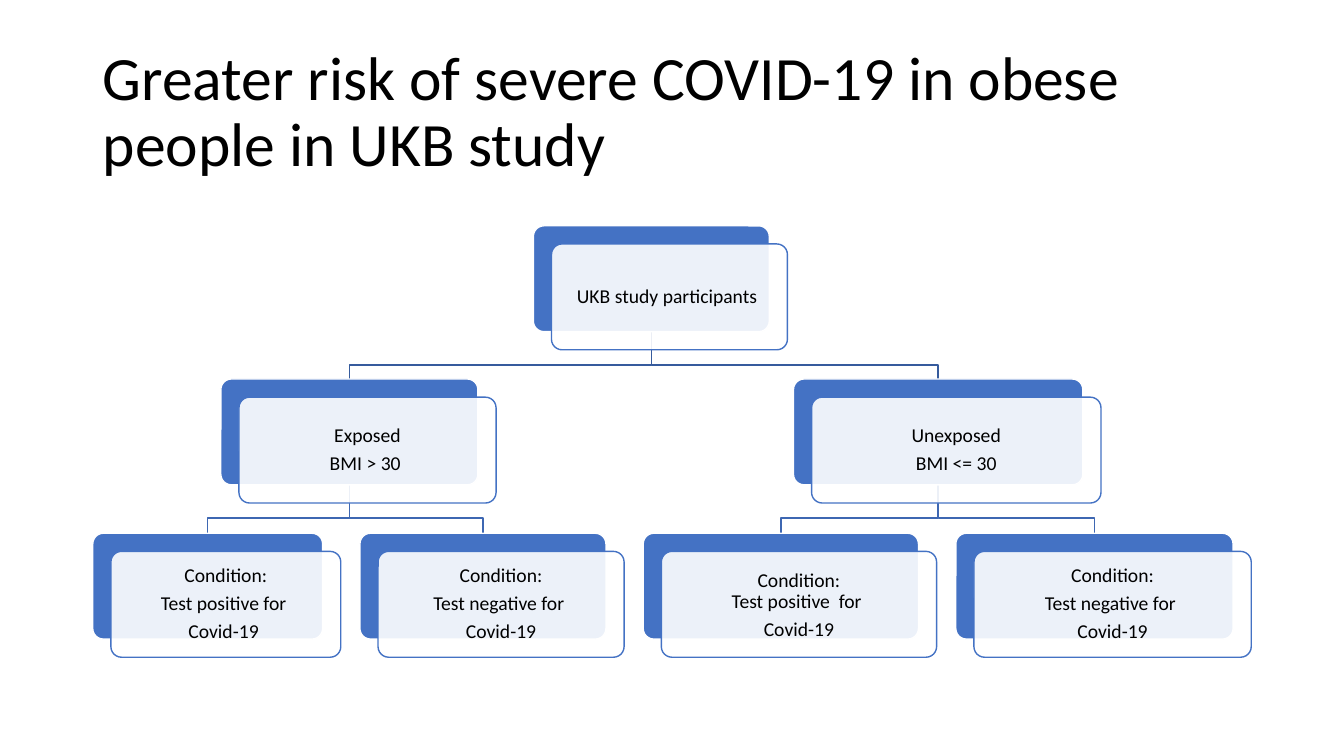
from dataclasses import dataclass

from lxml import etree
from pptx import Presentation
from pptx.dml.color import RGBColor
from pptx.enum import shapes, text
from pptx.oxml import ns
from pptx.util import Inches, Pt

LEVEL_TOPS = [2.24, 3.76, 5.29]
CARD_HEIGHT = 1.05
CARD_OFFSET = 0.18
ELBOW_DROP = 0.33


@dataclass
class Group:
    level: int
    left: float
    width: float
    lines: list
    tight_first_line: bool = False
    children: tuple = ()

    @property
    def top(self):
        return LEVEL_TOPS[self.level]

    @property
    def center(self):
        return self.left + self.width / 2


def color(value):
    return RGBColor.from_string(value)


class StudyPage:
    """Holds the style and the current slide."""

    font = "Calibri"
    ink = "000000"
    white = "FFFFFF"
    blue = "4472C4"
    line_colors = ["365B9D", "3E67B2"]

    def __init__(self, deck):
        self.page = deck.slides.add_slide(deck.slide_layouts[5])

    def format_para(self, para, size, align, spacing=0.9, after=0):
        para.alignment = align
        para.line_spacing = spacing
        para.space_after = Pt(after)
        for span in para.runs:
            span.font.name = self.font
            span.font.size = Pt(size)
            span.font.color.rgb = color(self.ink)

    def title(self, words):
        box = self.page.shapes.title
        box.left, box.top = Inches(0.92), Inches(0.4)
        box.width, box.height = Inches(11.5), Inches(1.45)
        frame = box.text_frame
        frame.text = words
        frame.auto_size = text.MSO_AUTO_SIZE.NONE
        frame.vertical_anchor = text.MSO_ANCHOR.MIDDLE
        self.format_para(frame.paragraphs[0], 44, text.PP_ALIGN.LEFT)

    def card(self, left, top, width, fill, line, opacity=100):
        box = self.page.shapes.add_shape(
            shapes.MSO_SHAPE.ROUNDED_RECTANGLE,
            Inches(left), Inches(top), Inches(width), Inches(CARD_HEIGHT))
        box.adjustments[0] = 0.1
        box.shadow.inherit = False
        box.fill.solid()
        box.fill.fore_color.rgb = color(fill)
        box.line.color.rgb = color(line)
        box.line.width = Pt(1)
        if opacity < 100:
            tone = box._element.spPr.find(ns.qn("a:solidFill"))[0]
            etree.SubElement(tone, ns.qn("a:alpha"), val=str(opacity * 1000))
        return box

    def group(self, group):
        """Draws a blue card with a translucent, labelled card over it."""
        self.card(group.left, group.top, group.width, self.blue, self.white)
        front = self.card(group.left + CARD_OFFSET, group.top + CARD_OFFSET,
                          group.width, self.white, self.blue, opacity=90)
        frame = front.text_frame
        frame.word_wrap = True
        frame.vertical_anchor = text.MSO_ANCHOR.MIDDLE
        frame.margin_left = frame.margin_right = Inches(0.06)
        frame.margin_top = frame.margin_bottom = Inches(0.06)
        frame.text = "\n".join(group.lines)
        for index, para in enumerate(frame.paragraphs):
            tight = group.tight_first_line and index == 0
            self.format_para(para, 14, text.PP_ALIGN.CENTER,
                             1.0 if tight else 0.9, 0 if tight else 5)

    def elbow(self, parent, child):
        bottom = parent.top + CARD_HEIGHT
        bend = bottom + ELBOW_DROP
        points = [(parent.center, bottom), (parent.center, bend),
                  (child.center, bend), (child.center, child.top)]
        start, *rest = [(Inches(x), Inches(y)) for x, y in points]
        builder = self.page.shapes.build_freeform(*start)
        builder.add_line_segments(rest, close=False)
        elbow = builder.convert_to_shape()
        elbow.shadow.inherit = False
        elbow.fill.background()
        elbow.line.color.rgb = color(self.line_colors[parent.level])
        elbow.line.width = Pt(1)

    def elbows(self, parent):
        for child in parent.children:
            self.elbow(parent, child)
            self.elbows(child)

    def groups(self, parent):
        self.group(parent)
        for child in parent.children:
            self.groups(child)


def main():
    deck = Presentation()
    deck.slide_width, deck.slide_height = Inches(13.33), Inches(7.5)

    positive = ["Condition:", "Test positive for ", "Covid-19 "]
    negative = ["Condition:", "Test negative for ", "Covid-19"]
    exposed = Group(1, 2.19, 2.55, ["Exposed", "BMI > 30 "], children=(
        Group(2, 0.92, 2.28, positive),
        Group(2, 3.57, 2.44, negative)))
    unexposed = Group(1, 7.87, 2.87, ["Unexposed", "BMI <= 30"], children=(
        Group(2, 6.38, 2.73, ["Condition:", "Test positive  for ", "Covid-19"],
              tight_first_line=True),
        Group(2, 9.48, 2.75, negative)))
    participants = Group(0, 5.29, 2.34, ["UKB study participants "],
                         children=(exposed, unexposed))

    page = StudyPage(deck)
    page.title("Greater risk of severe COVID-19 in obese people in UKB study")
    page.elbows(participants)
    page.groups(participants)
    deck.save("out.pptx")


if __name__ == "__main__":
    main()
